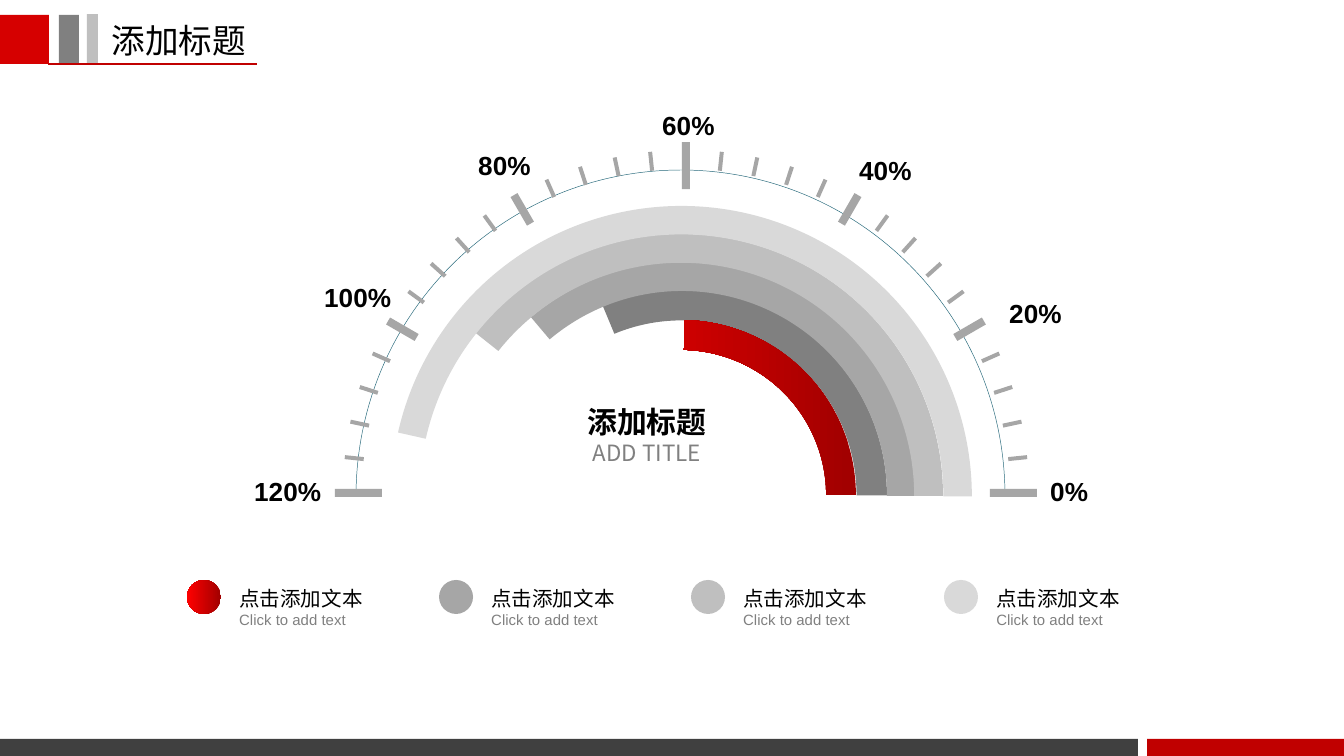
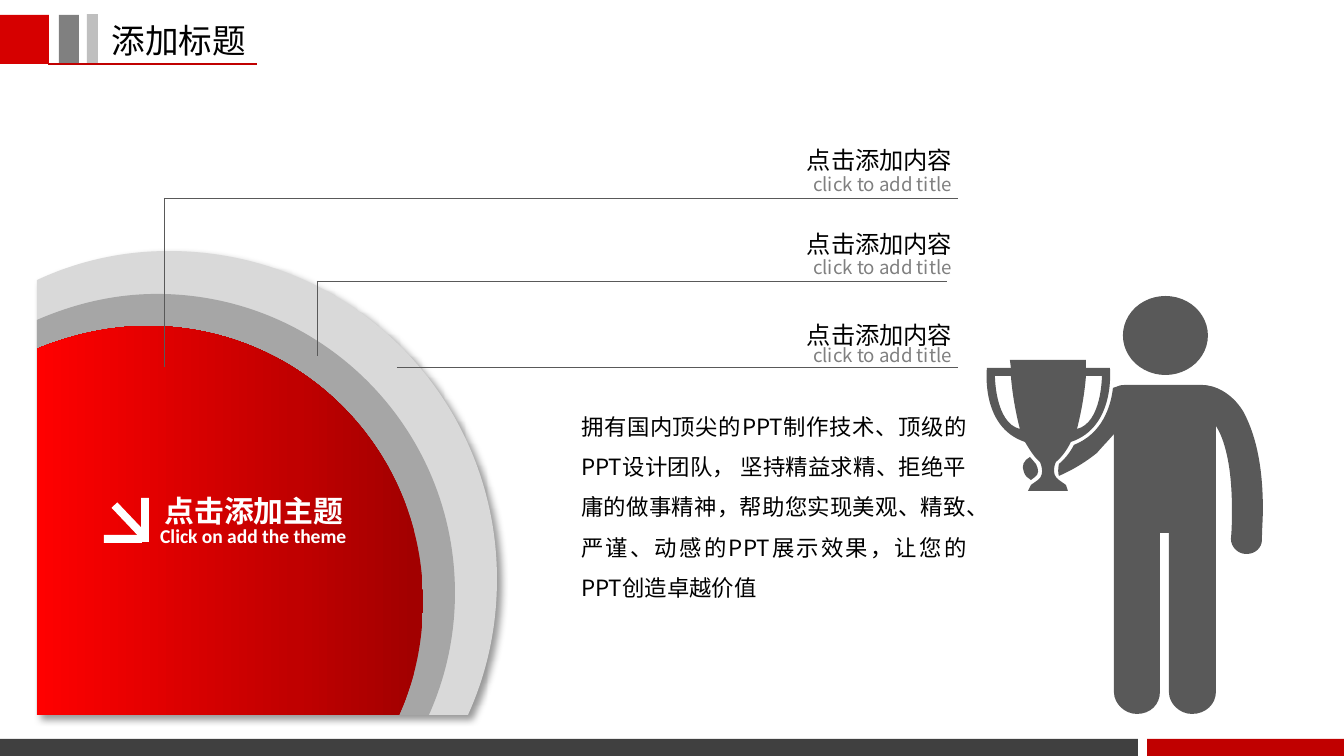
import math

from lxml import etree
from pptx import Presentation
from pptx import util as u
from pptx.dml.color import RGBColor
from pptx.enum import shapes, text
from pptx.oxml.ns import qn

EMU_PER_PX = 9144000 / 1344
CJK, ARIAL, CALIBRI = "Noto Sans CJK SC", "Arial", "Calibri"
LEFT, CENTER = text.PP_ALIGN.LEFT, text.PP_ALIGN.CENTER
COLORS = {
    "black": "000000", "white": "FFFFFF", "red": "D60000", "deep_red": "C00000",
    "footer": "404040", "figure": "595959", "caption": "808080",
    "gray": "808080", "mid": "A6A6A6", "silver": "BFBFBF", "pale": "D9D9D9",
    "rim": "27697B",
}
RED_STOPS = [(0, "A20000"), (2, "A20000"), (33, "C00000"), (100, "FF0000")]

# Outlines in px: M move, L line, C cubic curve
RIM = "M 356 495 C 357 314 503 170 681 170 C 860 170 1005 316 1005 496"
PALE_DISC = "M 169 251 C 351 251 497 398 497 579 C 497 628 487 673 468 715 L 37 715 L 37 280 C 78 261 122 251 169 251"
MID_DISC = "M 157 294 C 321 294 455 427 455 593 C 455 636 446 677 429 715 L 37 715 L 37 320 C 74 304 114 294 157 294"
RED_DISC = "M 148 326 C 300 326 423 449 423 601 C 423 642 415 680 399 715 L 37 715 L 37 349 C 71 335 109 326 148 326"
BODY = """M 1246 554 C 1238 554 1231 547 1231 539 C 1232 528 1232 519 1232 509
C 1232 464 1224 438 1216 426 L 1216 692 C 1216 704 1206 714 1192 714
C 1180 714 1169 704 1169 692 L 1169 533 L 1160 533 L 1160 692
C 1160 704 1151 714 1137 714 C 1125 714 1114 704 1114 692 L 1114 434
C 1110 439 1103 446 1097 453 C 1087 461 1075 469 1059 476
C 1058 473 1058 469 1059 464 C 1064 460 1070 453 1074 445
C 1102 434 1111 407 1113 388 C 1114 388 1114 387 1116 387
C 1118 386 1121 385 1125 385 L 1202 385 C 1214 385 1231 392 1243 411
C 1254 431 1263 461 1263 509 C 1263 519 1262 530 1262 540
C 1262 548 1255 554 1247 554"""
HAND = """M 1036 464 C 1039 470 1039 474 1035 477 L 1031 480 C 1028 478 1025 476 1024 472
C 1021 466 1024 460 1030 457 C 1032 460 1035 462 1036 464"""
TROPHY = """M 1071 442 C 1067 450 1062 457 1056 462 C 1056 462 1050 474 1059 480
L 1066 485 L 1068 491 L 1028 491 L 1031 485 L 1038 480 C 1046 474 1040 462 1040 462
C 1034 457 1030 450 1025 442 C 980 427 987 368 987 368 L 1011 368 L 1010 360
L 1086 360 L 1086 368 L 1110 368 C 1110 368 1116 427 1071 442
M 1011 376 L 995 376 C 995 376 995 423 1020 429 C 1015 410 1012 390 1011 376
M 1086 376 C 1085 390 1082 410 1077 429 C 1102 423 1102 376 1102 376"""


def px(value):
    return u.Emu(round(value * EMU_PER_PX))


def rgb(name):
    return RGBColor.from_string(COLORS[name])


# Fills and fonts
def paint(shape, color):
    """Fill with a named colour, or with the red gradient; no outline or shadow."""
    shape.shadow.inherit = False
    shape.line.fill.background()
    if color != "gradient":
        shape.fill.solid()
        shape.fill.fore_color.rgb = rgb(color)
        return
    shape.fill.gradient()
    shape.fill.gradient_angle = 180
    stops = shape._element.spPr.find(".//" + qn("a:gsLst"))
    for stop in list(stops):
        stops.remove(stop)
    for position, value in RED_STOPS:
        stop = etree.SubElement(stops, qn("a:gs"), pos=str(position * 1000))
        etree.SubElement(stop, qn("a:srgbClr"), val=value)


def style(paragraph, size, color, font=CJK, bold=False, align=LEFT):
    paragraph.alignment = align
    paragraph.font.size = u.Pt(size)
    paragraph.font.bold = bold
    paragraph.font.color.rgb = rgb(color)
    paragraph.font.name = font
    properties = paragraph._p.pPr.find(qn("a:defRPr"))
    etree.SubElement(properties, qn("a:ea"), typeface=CJK)


# Kinds of element
def add_text(slide, box, lines, align=LEFT, wrap=False):
    """Each line is (text, size, colour[, font[, bold]])."""
    shape = slide.shapes.add_textbox(*map(px, box))
    frame = shape.text_frame
    frame.word_wrap = wrap
    frame.auto_size = text.MSO_AUTO_SIZE.SHAPE_TO_FIT_TEXT
    for index, (words, *look) in enumerate(lines):
        paragraph = frame.add_paragraph() if index else frame.paragraphs[0]
        paragraph.text = words
        style(paragraph, *look, align=align)
    return shape


def add_preset(slide, kind, box, color):
    shape = slide.shapes.add_shape(kind, *map(px, box))
    paint(shape, color)
    return shape


def add_rect(slide, box, color):
    return add_preset(slide, shapes.MSO_SHAPE.RECTANGLE, box, color)


def add_circle(slide, box, color):
    return add_preset(slide, shapes.MSO_SHAPE.OVAL, box, color)


def add_line(slide, start, end, color, width):
    line = slide.shapes.add_connector(
        shapes.MSO_CONNECTOR.STRAIGHT, *map(px, (*start, *end)))
    line.line.color.rgb = rgb(color)
    line.line.width = u.Pt(width)
    etree.SubElement(line._element.spPr, qn("a:effectLst"))


def add_polygons(slide, contours, color, close=True):
    builder = None
    for contour in contours:
        first, *rest = [(px(x), px(y)) for x, y in contour]
        if builder is None:
            builder = slide.shapes.build_freeform(*first)
        else:
            builder.move_to(*first)
        builder.add_line_segments(rest, close=close)
    shape = builder.convert_to_shape()
    paint(shape, color)
    return shape


def add_outline(slide, outline, color, close=True):
    """Draw an outline string: a polygon through all points, then bend its curves."""
    contours, commands = [], []
    tokens = iter(outline.split())
    for command in tokens:
        commands.append(command)
        count = 3 if command == "C" else 1
        points = [(int(next(tokens)), int(next(tokens))) for _ in range(count)]
        if command == "M":
            contours.append(points)
        else:
            contours[-1] += points
    shape = add_polygons(slide, contours, color, close)

    segments = iter([segment for segment in shape._element.spPr.find(".//" + qn("a:pathLst"))[0]
                     if segment.tag != qn("a:close")])
    for command in commands:
        segment = next(segments)
        if command == "C":
            curve = etree.Element(qn("a:cubicBezTo"))
            segment.addprevious(curve)
            for corner in (segment, next(segments), next(segments)):
                curve.append(corner[0])
                corner.getparent().remove(corner)
    return shape


# Shared frame: title, header blocks, footer bands
def new_slide(presentation, title):
    slide = presentation.slides.add_slide(presentation.slide_layouts[5])
    shape = slide.shapes.title
    shape.left, shape.top, shape.width, shape.height = map(px, (98, 13, 162, 53))
    frame = shape.text_frame
    frame.word_wrap = False
    frame.auto_size = text.MSO_AUTO_SIZE.NONE
    frame.vertical_anchor = text.MSO_ANCHOR.TOP
    frame.text = title
    style(frame.paragraphs[0], 18, "black")
    for box, color in [
        ((-1, 15, 50, 49), "red"), ((59, 15, 20, 49), "gray"), ((87, 14, 11, 50), "silver"),
        ((-1, 739, 1139, 19), "footer"), ((1147, 739, 197, 19), "deep_red"),
    ]:
        add_rect(slide, box, color)
    add_line(slide, (48, 64), (257, 64), "deep_red", 0.75)
    return slide


# Slide 1: gauge
def tick(center, degrees):
    """Corners of a tick; the level and upright ones are the longest."""
    inner, outer, width = (324, 343, 4) if degrees % 30 else (311, 344, 8)
    if degrees % 90 == 0:
        inner, outer = 304, 351
    cos, sin = math.cos(math.radians(degrees)), math.sin(math.radians(degrees))
    return [(center[0] + radius * cos - side * sin, center[1] - radius * sin - side * cos)
            for radius, side in [(inner, -width / 2), (outer, -width / 2),
                                 (outer, width / 2), (inner, width / 2)]]


def add_gauge(slide):
    rim = add_outline(slide, RIM, "white", close=False)
    rim.fill.background()
    rim.line.color.rgb = rgb("rim")
    rim.line.width = u.Pt(0.25)
    add_polygons(slide, [tick((686, 493), degrees) for degrees in range(0, 181, 6)], "mid")

    label_boxes = [(1037, 469, 66), (996, 291, 79), (846, 148, 79), (649, 103, 81),
                   (465, 143, 81), (311, 275, 94), (241, 469, 94)]
    for index, box in enumerate(label_boxes):
        add_text(slide, (*box, 46), [(f"{index * 20}%", 14, "black", ARIAL, True)])

    # Rings run clockwise from the start angle to the right end of the dial
    for left, top, size, start, thickness, color in [
        (476, 290, 411, 247.46, 0.074, "gray"), (448, 262, 468, 229.8, 0.062, "mid"),
        (419, 234, 524, 218.44, 0.055, "silver"), (391, 206, 581, 192.71, 0.049, "pale"),
        (505, 320, 351, 271.37, 0.085, "gradient"),
    ]:
        ring = add_preset(slide, shapes.MSO_SHAPE.BLOCK_ARC, (left, top, size, size), color)
        ring.adjustments[0] = start * 0.6
        ring.adjustments[1] = 0
        ring.adjustments[2] = thickness


def build_gauge_slide(presentation):
    slide = new_slide(presentation, "添加标题")
    for index, color in enumerate(["gradient", "mid", "silver", "pale"]):
        left = 187 + 757 * index // 3
        add_circle(slide, (left, 580, 34, 34), color)
        add_text(slide, (left + 39, 579, 152, 56), [
            ("点击添加文本", 11, "black"), ("Click to add text", 8, "caption", ARIAL)])
    add_text(slide, (555, 397, 184, 77), [
        ("添加标题", 16, "black", CJK, True), ("ADD TITLE", 12, "caption")], CENTER, wrap=True)
    add_gauge(slide)


# Slide 2: discs, leaders and winner figure
def add_drop_shadow(shape):
    effects = shape._element.spPr.find(qn("a:effectLst"))
    shadow = etree.SubElement(effects, qn("a:outerShdw"), blurRad=str(u.Pt(4)),
                              dist=str(u.Pt(3)), dir="2700000", algn="tl", rotWithShape="0")
    color = etree.SubElement(shadow, qn("a:srgbClr"), val=COLORS["black"])
    etree.SubElement(color, qn("a:alpha"), val="40000")


def build_theme_slide(presentation):
    slide = new_slide(presentation, "添加标题")
    add_drop_shadow(add_outline(slide, PALE_DISC, "pale"))
    add_outline(slide, MID_DISC, "mid")
    add_outline(slide, RED_DISC, "gradient")

    # Headings and body text
    for top in (139, 223, 314):
        add_text(slide, (792, top, 175, 43), [("点击添加内容", 13, "black")], CENTER)
    body = add_text(slide, (568, 393, 412, 218), [(
        "拥有国内顶尖的PPT制作技术、顶级的PPT设计团队， 坚持精益求精、拒绝平庸的做事精神，"
        "帮助您实现美观、精致、严谨、动感的PPT展示效果，让您的PPT创造卓越价值",
        12, "black")], text.PP_ALIGN.JUSTIFY, wrap=True)
    body.text_frame.paragraphs[0].line_spacing = 1.5

    # Theme with its arrow
    add_text(slide, (150, 486, 208, 50), [("点击添加主题", 16, "white", CJK, True)], CENTER)
    add_text(slide, (147, 517, 215, 38), [("Click on add the theme", 10.5, "white", CALIBRI, True)])
    add_rect(slide, (141, 498, 8, 44), "white")
    add_rect(slide, (104, 535, 38, 8), "white")
    add_rect(slide, (108, 516, 41, 8), "white").rotation = 46.5

    # Captions under the headings
    for top in (166, 249, 337):
        add_text(slide, (797, top, 171, 36), [("click to add title", 10, "caption")], CENTER)

    # Figure holding a trophy
    add_outline(slide, BODY, "figure")
    add_outline(slide, HAND, "figure")
    add_circle(slide, (1123, 296, 85, 79), "figure")
    add_outline(slide, TROPHY, "figure")

    # Leaders
    for start, end in [
        ((164, 198), (164, 367)), ((164, 198), (958, 198)), ((317, 281), (317, 356)),
        ((397, 367), (958, 367)), ((317, 281), (947, 281)),
    ]:
        add_line(slide, start, end, "figure", 0.25)


def main():
    presentation = Presentation()
    presentation.slide_width, presentation.slide_height = px(1344), px(756)
    build_gauge_slide(presentation)
    build_theme_slide(presentation)
    presentation.save("out.pptx")


if __name__ == "__main__":
    main()
